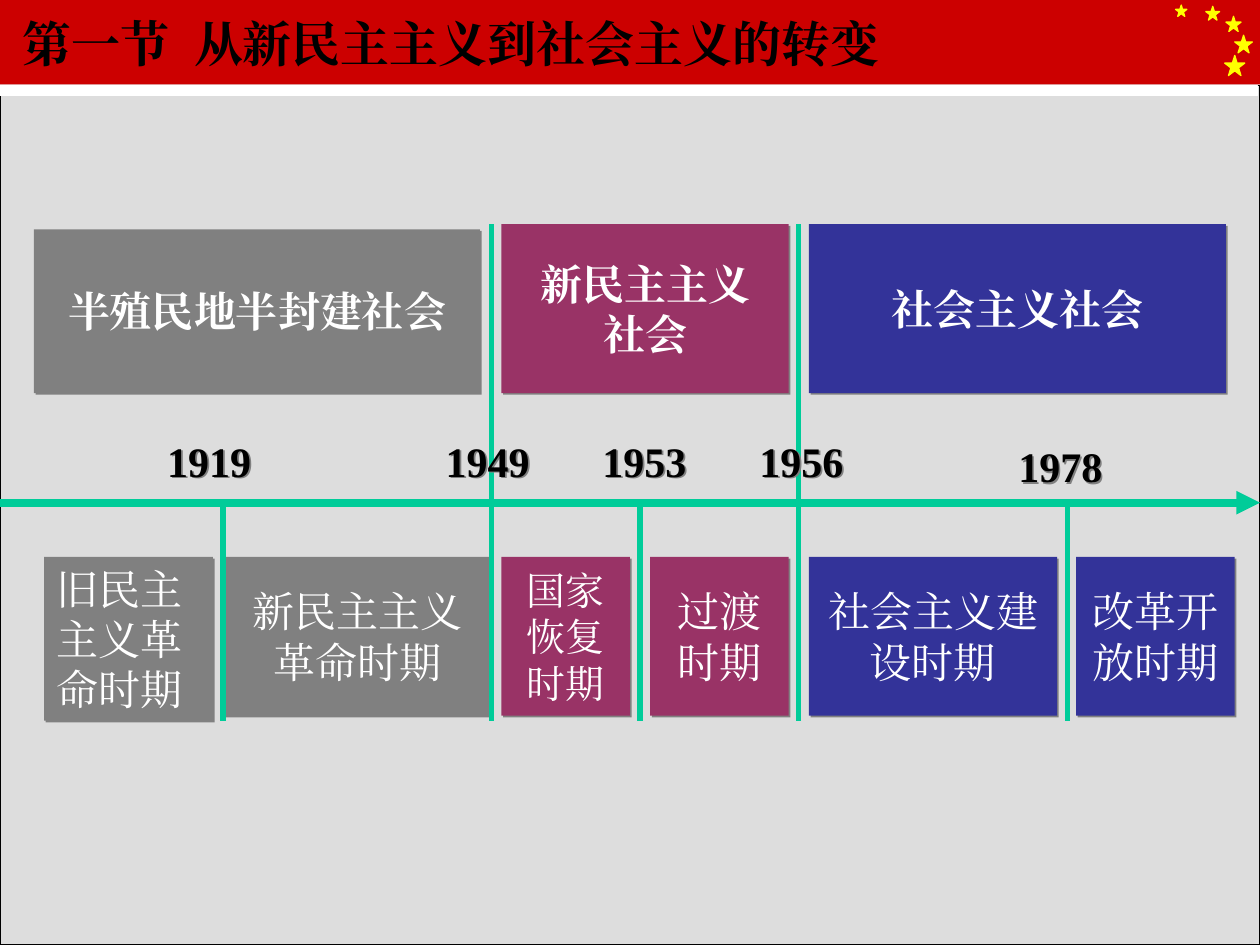
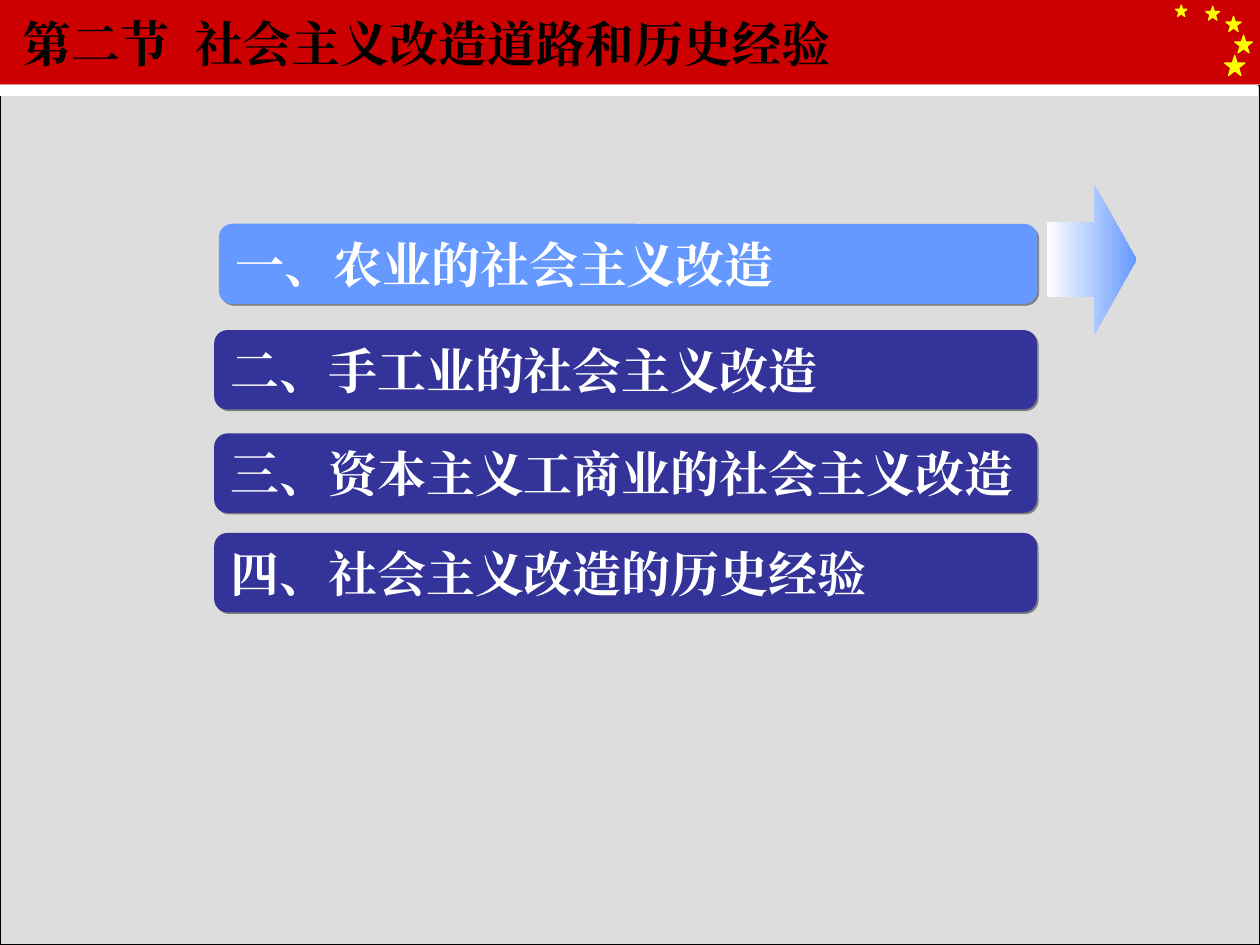
from dataclasses import dataclass

from lxml.etree import SubElement
from pptx import Presentation
from pptx.dml.color import RGBColor
from pptx.enum.lang import MSO_LANGUAGE_ID
from pptx.enum.shapes import MSO_CONNECTOR, MSO_SHAPE
from pptx.enum.text import MSO_ANCHOR, MSO_AUTO_SIZE, PP_ALIGN
from pptx.oxml.ns import qn
from pptx.util import Inches, Pt

COLORS = {
    "page": "EAEAEA", "panel": "DDDDDD", "band": "CC0000", "star": "FFFF00",
    "white": "FFFFFF", "black": "000000", "shadow": "808080", "axis": "00CC99",
    "gray": "808080", "plum": "993366", "navy": "333399", "sky": "6699FF",
}
FONT = "Times New Roman"
WIDTH, HEIGHT = Inches(10), Inches(7.5)
COL, ROW = WIDTH / 100, HEIGHT / 75  # the slide is a grid of 100 columns by 75 rows


@dataclass(frozen=True)
class Box:
    left: float
    top: float
    width: float
    height: float

    def emu(self) -> tuple[int, int, int, int]:
        return (round(self.left * COL), round(self.top * ROW),
                round(self.width * COL), round(self.height * ROW))


@dataclass(frozen=True)
class Period:
    text: str
    box: Box
    color: str
    size: float = 24
    bold: bool = False
    align: PP_ALIGN = PP_ALIGN.CENTER


@dataclass(frozen=True)
class Year:
    text: str
    left: float
    width: float
    top: float = 33.2


SOCIETY_TOP, STAGE_TOP, STAGE_H = 17.8, 44.2, 12.6
AXIS_Y, DIVIDER_END = 39.9, 57.2
STARS = [Box(97.2, 4.4, 1.6, 1.6), Box(95.7, 0.5, 1.1, 1.1), Box(93.3, 0.4, 0.9, 0.9),
         Box(97.3, 1.3, 1.2, 1.2), Box(98, 2.8, 1.4, 1.4)]
SOCIETIES = [
    Period("半殖民地半封建社会", Box(2.7, 18.2, 35.4, 13), "gray", bold=True),
    Period("新民主主义\n社会", Box(39.8, SOCIETY_TOP, 22.8, 13.4), "plum", bold=True),
    Period("社会主义社会", Box(64.2, SOCIETY_TOP, 33.1, 13.4), "navy", bold=True),
]
STAGES = [
    Period("旧民主主义革命时期", Box(3.5, STAGE_TOP, 13.4, 13), "gray", align=PP_ALIGN.LEFT),
    Period("新民主主义革命时期", Box(17.7, STAGE_TOP, 21.3, STAGE_H), "gray"),
    Period("国家恢复时期", Box(39.8, STAGE_TOP, 10.2, STAGE_H), "plum", size=22.2),
    Period("过渡时期", Box(51.6, STAGE_TOP, 11, STAGE_H), "plum"),
    Period("社会主义建设时期", Box(64.2, STAGE_TOP, 19.7, STAGE_H), "navy"),
    Period("改革开放时期", Box(85.4, STAGE_TOP, 12.6, STAGE_H), "navy"),
]
DIVIDERS = [(17.7, AXIS_Y), (39, SOCIETY_TOP), (50.8, AXIS_Y),
            (63.4, SOCIETY_TOP), (84.7, AXIS_Y)]
YEARS = [Year("1919", 11.6, 10), Year("1949", 33.7, 10), Year("1953", 46, 10.3),
         Year("1956", 59.1, 9), Year("1978", 79, 10.3, 33.6)]
TOPICS = [
    Period("一、农业的社会主义改造", Box(17.4, 17.8, 64.9, 6.3), "sky"),
    Period("二、手工业的社会主义改造", Box(17, 26.2, 65.3, 6.3), "navy"),
    Period("三、资本主义工商业的社会主义改造", Box(17, 34.4, 65.3, 6.3), "navy"),
    Period("四、社会主义改造的历史经验", Box(17, 42.3, 65.3, 6.3), "navy"),
]


def rgb(name: str) -> RGBColor:
    return RGBColor.from_string(COLORS[name])


def add_shape(slide, kind: MSO_SHAPE, box: Box, fill: str, line: str | None = None,
              line_width: float = 0.75):
    sp = slide.shapes.add_shape(kind, *box.emu())
    sp.shadow.inherit = False
    sp.fill.solid()
    sp.fill.fore_color.rgb = rgb(fill)
    if line:
        sp.line.color.rgb = rgb(line)
        sp.line.width = Pt(line_width)
    else:
        sp.line.fill.background()
    return sp


def add_shadow(sp) -> None:
    """Give the shape a hard grey shadow to the lower right."""
    sp.shadow.inherit = False
    effects = sp.element.spPr.find(qn("a:effectLst"))
    outer = SubElement(effects, qn("a:outerShdw"), blurRad="0", dist=str(Pt(1.4)),
                       dir="2700000", algn="ctr", rotWithShape="0")
    SubElement(outer, qn("a:srgbClr"), val=COLORS["shadow"])


def set_text(sp, text: str, size: float, color: str, bold: bool, align: PP_ALIGN,
             anchor: MSO_ANCHOR = MSO_ANCHOR.MIDDLE) -> None:
    tf = sp.text_frame
    tf.text = text
    tf.word_wrap = True
    tf.auto_size = MSO_AUTO_SIZE.NONE
    tf.vertical_anchor = anchor
    for p in tf.paragraphs:
        p.alignment = align
        for r in p.runs:
            r.font.size, r.font.bold, r.font.name = Pt(size), bold, FONT
            r.font.color.rgb = rgb(color)
            r.font.language_id = MSO_LANGUAGE_ID.SIMPLIFIED_CHINESE
            SubElement(r.font._element, qn("a:ea"), typeface=FONT)


def add_line(slide, start: tuple[float, float], end: tuple[float, float], width: float):
    points = [round(v) for x, y in (start, end) for v in (x * COL, y * ROW)]
    line = slide.shapes.add_connector(MSO_CONNECTOR.STRAIGHT, *points)
    line.line.color.rgb = rgb("axis")
    line.line.width = Pt(width)
    SubElement(line.element.spPr, qn("a:effectLst"))
    return line


def decorate_layout(layout, slide) -> None:
    """Draw the band, stars and panel on a slide, then move them to its layout."""
    frame = [
        add_shape(slide, MSO_SHAPE.RECTANGLE, Box(0, 0, 100, 6.7), "band"),
        *[add_shape(slide, MSO_SHAPE.STAR_5_POINT, box, "star", "star") for box in STARS],
        add_shape(slide, MSO_SHAPE.RECTANGLE, Box(0, 6.8, 100, 68.2), "panel", "black"),
        add_shape(slide, MSO_SHAPE.RECTANGLE, Box(0, 6.8, 99.8, 0.8), "white", "white"),
    ]
    for sp in frame:
        layout.shapes.element.append(sp.element)


def set_title(slide, section: str, heading: str, width: float) -> None:
    """Write section and heading, set apart by a tab stop."""
    title = slide.shapes.title
    title.left, title.top, title.width, title.height = Box(0.8, 0, width, 6.8).emu()
    title.text_frame.text = section
    set_text(title, f"{section}\t{heading}", 28, "black", True, PP_ALIGN.LEFT)
    stops = SubElement(title.text_frame.paragraphs[0]._p.get_or_add_pPr(), qn("a:tabLst"))
    SubElement(stops, qn("a:tab"), pos=str(Inches(1.36)), algn="l")


def add_period(slide, period: Period) -> None:
    sp = add_shape(slide, MSO_SHAPE.RECTANGLE, period.box, period.color)
    add_shadow(sp)
    set_text(sp, period.text, period.size, "white", period.bold, period.align)


def add_year(slide, year: Year) -> None:
    sp = slide.shapes.add_textbox(*Box(year.left, year.top, year.width, 6.7).emu())
    add_shadow(sp)
    set_text(sp, year.text, 24, "black", True, PP_ALIGN.CENTER)


def build_timeline(slide) -> None:
    set_title(slide, "第一节", "从新民主主义到社会主义的转变", 70.8)
    for period in SOCIETIES + STAGES:
        add_period(slide, period)
    axis = add_line(slide, (0, AXIS_Y), (100, AXIS_Y), 4.5)
    SubElement(axis.element.spPr.find(qn("a:ln")), qn("a:tailEnd"), type="triangle")
    for x, top in DIVIDERS:
        add_line(slide, (x, top), (x, DIVIDER_END), 3)
    for year in YEARS:
        add_year(slide, year)


def build_topics(slide) -> None:
    set_title(slide, "第二节", "社会主义改造道路和历史经验", 78.3)
    for topic in TOPICS:
        line = "sky" if topic.color == "sky" else None
        sp = add_shape(slide, MSO_SHAPE.ROUNDED_RECTANGLE, topic.box, topic.color, line, 0.5)
        add_shadow(sp)
        set_text(sp, topic.text, 28, "white", True, PP_ALIGN.LEFT)
    arrow = add_shape(slide, MSO_SHAPE.RIGHT_ARROW, Box(83.1, 14.7, 7.1, 11.8), "sky")
    arrow.adjustments[1] = 0.47
    arrow.fill.gradient()
    arrow.fill.gradient_angle = 0
    for stop, position, color in zip(arrow.fill.gradient_stops, (0, 1), ("white", "sky")):
        stop.position = position
        stop.color.rgb = rgb(color)


def main() -> None:
    prs = Presentation()
    prs.slide_width, prs.slide_height = WIDTH, HEIGHT
    background = prs.slide_master.background.fill
    background.solid()
    background.fore_color.rgb = rgb("page")
    layout = prs.slide_layouts.get_by_name("Title Only")
    timeline, topics = (prs.slides.add_slide(layout) for _ in range(2))
    decorate_layout(layout, timeline)
    build_timeline(timeline)
    build_topics(topics)
    prs.save("out.pptx")


if __name__ == "__main__":
    main()
